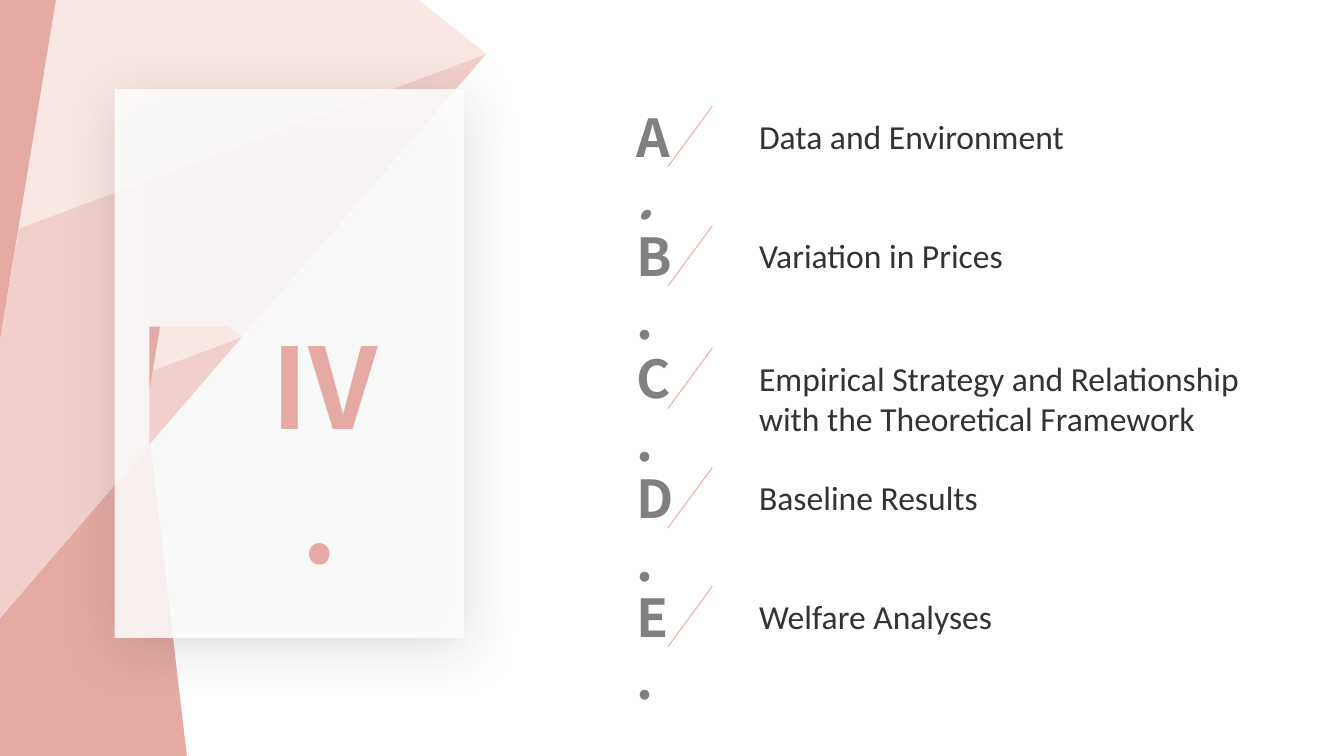
from lxml import etree
from pptx import Presentation
from pptx.dml.color import RGBColor
from pptx.enum.shapes import MSO_CONNECTOR, MSO_SHAPE
from pptx.enum.text import MSO_ANCHOR, MSO_AUTO_SIZE, PP_ALIGN
from pptx.oxml.ns import qn
from pptx.util import Pt

RECTANGLE, TRIANGLE = MSO_SHAPE.RECTANGLE, MSO_SHAPE.RIGHT_TRIANGLE
STRAIGHT = MSO_CONNECTOR.STRAIGHT
TOP, NO_FIT = MSO_ANCHOR.TOP, MSO_AUTO_SIZE.NONE
LEFT, CENTER = PP_ALIGN.LEFT, PP_ALIGN.CENTER

COLORS = {"rose": "E5AAA4", "pink": "F1CFCD", "blush": "F9E7E3", "white": "FFFFFF",
          "gray": "808080", "text": "333333"}
HEADING_FONT, BODY_FONT = "Noto Sans CJK SC", "Calibri"

# Facets of the backdrop, in points
BASE_FACET = ("rose", [(80.6, 237.6), (100.1, 405), (0, 405), (0, 331.2)])
FACETS = [
    ("pink", [(260.6, 28.8), (10.1, 122.4), (0, 182.2), (0, 331.2)]),
    ("blush", [(260.6, 28.8), (222.5, -1.4), (30.2, -1.4), (10.1, 122.4)]),
    ("rose", [(30.2, -1.4), (0, -1.4), (0, 182.2)]),
]
SECTIONS = [  # letter, title, top, title width
    ("A", "Data and Environment", 52.6, 180),
    ("B", "Variation in Prices", 116.6, 147),
    ("C", "Empirical Strategy and Relationship with the Theoretical Framework", 182.2, 282),
    ("D", "Baseline Results", 246.2, 132),
    ("E", "Welfare Analyses", 309.8, 141),
]


def color(name):
    return RGBColor.from_string(COLORS[name])


def write(paragraph, text, *, size, font=BODY_FONT, fill="text", bold=False, italic=None):
    run = paragraph.add_run()
    run.text = text
    run.font.size, run.font.name = Pt(size), font
    run.font.bold, run.font.italic = bold, italic
    run.font.color.rgb = color(fill)
    properties = run._r.get_or_add_rPr()
    etree.SubElement(properties, qn("a:ea")).set("typeface", font)


class SlideBuilder:
    def __init__(self, slide):
        self.slide = slide
        self.shapes = slide.shapes

    def paint(self, shape, fill):
        shape.shadow.inherit = False
        shape.fill.solid()
        shape.fill.fore_color.rgb = color(fill)
        shape.line.fill.background()
        return shape

    def facet(self, fill, points, scale=1, left=0, top=0):
        placed = [(Pt(left + x * scale), Pt(top + y * scale)) for x, y in points]
        builder = self.shapes.build_freeform(*placed[0])
        builder.add_line_segments(placed[1:], close=True)
        self.paint(builder.convert_to_shape(), fill)

    def preset(self, kind, left, top, width, height, fill, rotation=0):
        shape = self.shapes.add_shape(kind, Pt(left), Pt(top), Pt(width), Pt(height))
        shape.rotation = rotation
        return self.paint(shape, fill)

    def card(self, left, top, width, height):
        shape = self.preset(RECTANGLE, left, top, width, height, "white")
        fill = shape._element.spPr.find(qn("a:solidFill"))
        etree.SubElement(fill[0], qn("a:alpha")).set("val", "85000")
        effects = shape._element.spPr.find(qn("a:effectLst"))
        shadow = etree.SubElement(effects, qn("a:outerShdw"), blurRad=str(Pt(29)),
                                  dist=str(Pt(5)), dir="4620000", algn="t", rotWithShape="0")
        tint = etree.SubElement(shadow, qn("a:srgbClr"), val=COLORS["text"])
        etree.SubElement(tint, qn("a:alpha")).set("val", "20000")

    def line(self, x1, y1, x2, y2):
        connector = self.shapes.add_connector(STRAIGHT, Pt(x1), Pt(y1), Pt(x2), Pt(y2))
        connector.line.color.rgb = color("rose")
        connector.line.width = Pt(0.5)
        etree.SubElement(connector._element.spPr, qn("a:effectLst"))

    def frame(self, shape, align):
        frame = shape.text_frame
        frame.word_wrap, frame.auto_size = True, NO_FIT
        frame.vertical_anchor = TOP
        paragraph = frame.paragraphs[0]
        paragraph.alignment = align
        return paragraph

    def text_box(self, left, top, width, height):
        return self.frame(self.shapes.add_textbox(Pt(left), Pt(top), Pt(width), Pt(height)), LEFT)

    def title(self, text, left, top, width, height):
        shape = self.shapes.title
        shape.left, shape.top, shape.width, shape.height = map(Pt, (left, top, width, height))
        write(self.frame(shape, CENTER), text, size=60, font=HEADING_FONT, fill="rose", bold=True)
        shape._element.getparent().append(shape._element)  # bring to front

    def section(self, letter, title, top, width):
        style = {"size": 28, "font": HEADING_FONT, "fill": "gray", "bold": True}
        paragraph = self.text_box(334, top, 39, 41)
        write(paragraph, letter, **style)
        write(paragraph, ".", italic=True if letter == "A" else None, **style)
        write(self.text_box(399.6, top + 5.8, width, 29), title, size=18)
        self.preset(TRIANGLE, 353.5, top + 8, 32.4, 24.5, "white", rotation=270)
        self.line(381.6, top + 4.3, 357.8, top + 36.7)


def main():
    presentation = Presentation()
    presentation.slide_width, presentation.slide_height = Pt(720), Pt(405)
    builder = SlideBuilder(presentation.slides.add_slide(presentation.slide_layouts[5]))

    # Faceted backdrop and card
    for fill, points in [BASE_FACET, *FACETS]:
        builder.facet(fill, points)
    builder.card(61.4, 47.8, 187.2, 294)

    # Section list
    for section in SECTIONS:
        builder.section(*section)

    # Chapter number with the small facets
    builder.title("IV.", 135.4, 166.3, 72, 80)
    for fill, points in FACETS:
        builder.facet(fill, points, scale=0.19, left=80, top=175.2)

    presentation.save("out.pptx")


if __name__ == "__main__":
    main()
